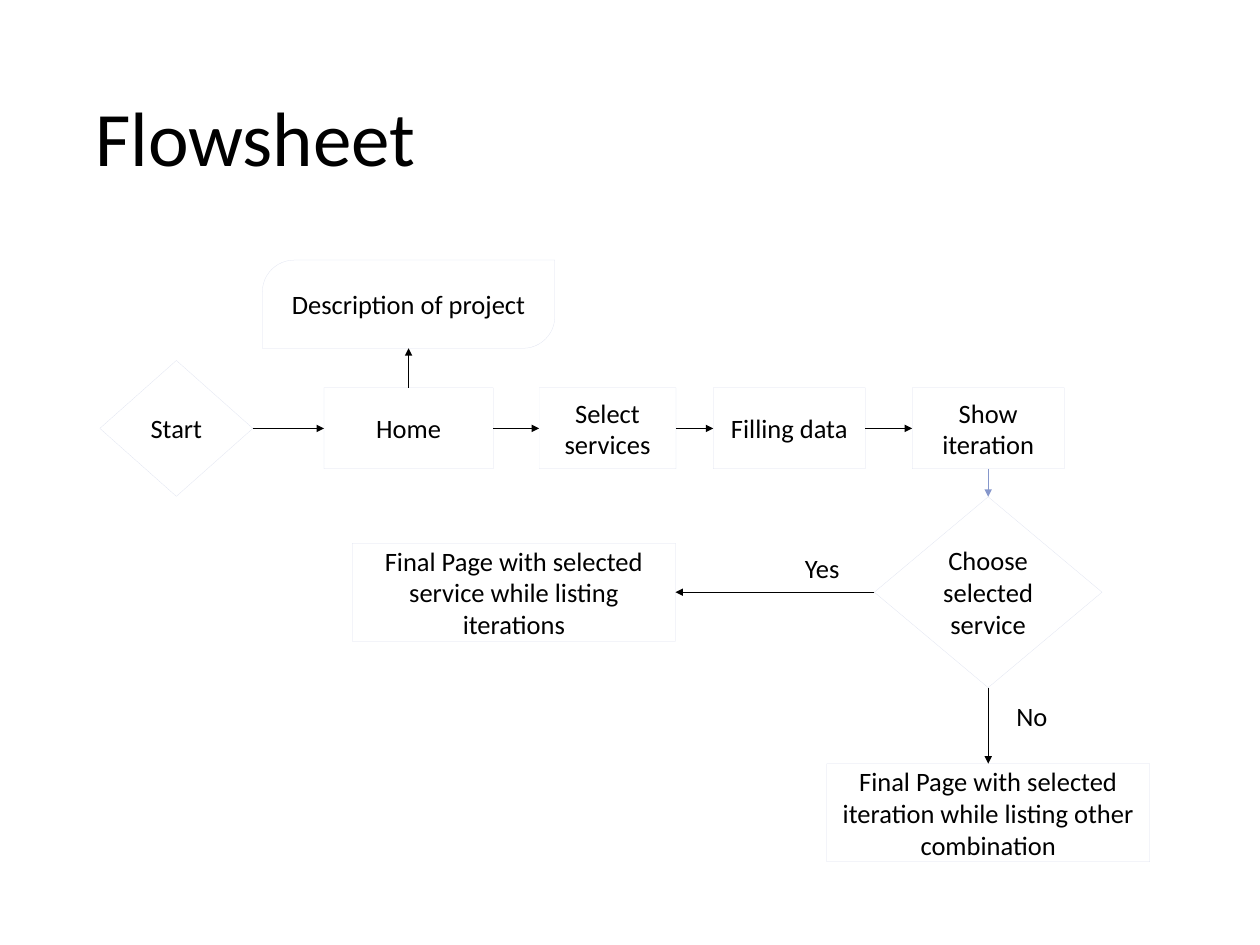
import pptx
import pptx.util
import pptx.dml.color
import pptx.enum.shapes
import pptx.enum.text
import pptx.oxml.ns
import lxml.etree

SHAPE = pptx.enum.shapes.MSO_SHAPE
ALIGN = pptx.enum.text.PP_ALIGN
ANCHOR = pptx.enum.text.MSO_ANCHOR
Inches, Pt = pptx.util.Inches, pptx.util.Pt

# Content
TITLE = ("Flowsheet", (0.96, 0.56, 12.07, 2.03))
ROW_Y, BRANCH_X = 4.76, 10.98   # axis of the main row, axis of the decision column
DECISION_Y = 6.58
# key: (text, outline, centre x, centre y, size kind)
STEPS = {
    "start": ("Start", SHAPE.DIAMOND, 1.96, ROW_Y, (1.7, 1.51)),
    "home": ("Home", SHAPE.RECTANGLE, 4.54, ROW_Y, (1.88, 0.9)),
    "description": ("Description of project", SHAPE.ROUND_2_DIAG_RECTANGLE,
                    4.54, 3.38, (3.25, 0.98)),
    "select": ("Select services", SHAPE.RECTANGLE, 6.75, ROW_Y, (1.52, 0.9)),
    "filling": ("Filling data", SHAPE.RECTANGLE, 8.77, ROW_Y, (1.69, 0.9)),
    "show": ("Show iteration", SHAPE.RECTANGLE, BRANCH_X, ROW_Y, (1.69, 0.9)),
    "choose": ("Choose selected service", SHAPE.DIAMOND,
               BRANCH_X, DECISION_Y, (2.53, 2.12)),
    "final_service": ("Final Page with selected service while listing iterations",
                      SHAPE.RECTANGLE, 5.71, DECISION_Y, (3.59, 1.09)),
    "final_iteration": (
        "Final Page with selected iteration while listing other combination",
        SHAPE.RECTANGLE, BRANCH_X, 9.03, (3.59, 1.09)),
}
# from step, side, to step, side, colour
FLOWS = [
    ("start", "right", "home", "left", "ink"),
    ("home", "top", "description", "bottom", "ink"),
    ("home", "right", "select", "left", "ink"),
    ("select", "right", "filling", "left", "ink"),
    ("filling", "right", "show", "left", "ink"),
    ("show", "bottom", "choose", "top", "accent"),
    ("choose", "left", "final_service", "right", "ink"),
    ("choose", "bottom", "final_iteration", "top", "ink"),
]
ANSWERS = [("Yes", (8.65, 6.08, 0.97, 0.46)), ("No", (10.98, 7.73, 0.97, 0.46))]

THEME = {
    "font": "Calibri", "title": 61.6, "body": 21.2,
    "ink": "000000", "accent": "8697CB", "paper": "FFFFFF",
    "border": 0.2, "border_alpha": 27, "arrow": 0.25,
}
# side: (connection site, share of width, share of height)
SIDES = {"top": (0, 0.5, 0), "left": (1, 0, 0.5),
         "bottom": (2, 0.5, 1), "right": (3, 1, 0.5)}
# The diagonal rounded box numbers its sites from the right, clockwise
DIAGONAL_SITES = {"right": 0, "bottom": 1, "left": 2, "top": 3}


def colour(name):
    return pptx.dml.color.RGBColor.from_string(THEME[name])


def add_xml(parent, tag, **attributes):
    return lxml.etree.SubElement(parent, pptx.oxml.ns.qn(tag), attributes)


def write(holder, text, size, align, anchor):
    frame = holder.text_frame
    frame.text = text
    frame.word_wrap = True
    frame.vertical_anchor = anchor
    paragraph = frame.paragraphs[0]
    paragraph.alignment = align
    font = paragraph.runs[0].font
    font.name, font.size = THEME["font"], Pt(THEME[size])
    font.color.rgb = colour("ink")
    return paragraph


def add_label(text, box, size, align, anchor):
    holder = slide.shapes.add_textbox(*map(Inches, box))
    return write(holder, text, size, align, anchor)


def add_step(text, outline, x, y, size):
    width, height = size
    step = slide.shapes.add_shape(
        outline, *map(Inches, (x - width / 2, y - height / 2, width, height)))
    if outline == SHAPE.ROUND_2_DIAG_RECTANGLE:
        step.adjustments[0], step.adjustments[1] = 0.36, 0
    step.shadow.inherit = False
    step.fill.background()
    step.line.color.rgb = colour("accent")
    step.line.width = Pt(THEME["border"])
    tint = step.line._get_or_add_ln().find(".//" + pptx.oxml.ns.qn("a:srgbClr"))
    add_xml(tint, "a:alpha", val=str(THEME["border_alpha"] * 1000))
    write(step, text, "body", ALIGN.CENTER, ANCHOR.MIDDLE)
    return step


def side_point(step, side):
    _, across, down = SIDES[side]
    return (int(step.left + step.width * across), int(step.top + step.height * down))


def site(step, side):
    diagonal = step.auto_shape_type == SHAPE.ROUND_2_DIAG_RECTANGLE
    return DIAGONAL_SITES[side] if diagonal else SIDES[side][0]


def add_flow(source, source_side, target, target_side, ink):
    begin, end = side_point(source, source_side), side_point(target, target_side)
    flow = slide.shapes.add_connector(
        pptx.enum.shapes.MSO_CONNECTOR.STRAIGHT, *begin, *end)
    flow.begin_connect(source, site(source, source_side))
    flow.end_connect(target, site(target, target_side))
    flow.begin_x, flow.begin_y = begin
    flow.end_x, flow.end_y = end
    flow.line.color.rgb = colour(ink)
    flow.line.width = Pt(THEME["arrow"])
    add_xml(flow.line._get_or_add_ln(), "a:tailEnd", type="triangle")
    add_xml(flow._element.spPr, "a:effectLst")


presentation = pptx.Presentation()
presentation.slide_width, presentation.slide_height = Inches(14), Inches(10.5)
slide = presentation.slides.add_slide(presentation.slide_layouts[6])
slide.background.fill.solid()
slide.background.fill.fore_color.rgb = colour("paper")

# Title
heading = add_label(*TITLE, "title", ALIGN.LEFT, ANCHOR.MIDDLE)
heading.line_spacing = 0.9

# Steps, arrows and answers
steps = {key: add_step(*step) for key, step in STEPS.items()}
for source, source_side, target, target_side, ink in FLOWS:
    add_flow(steps[source], source_side, steps[target], target_side, ink)
for text, box in ANSWERS:
    add_label(text, box, "body", ALIGN.CENTER, ANCHOR.TOP)

presentation.save("out.pptx")
